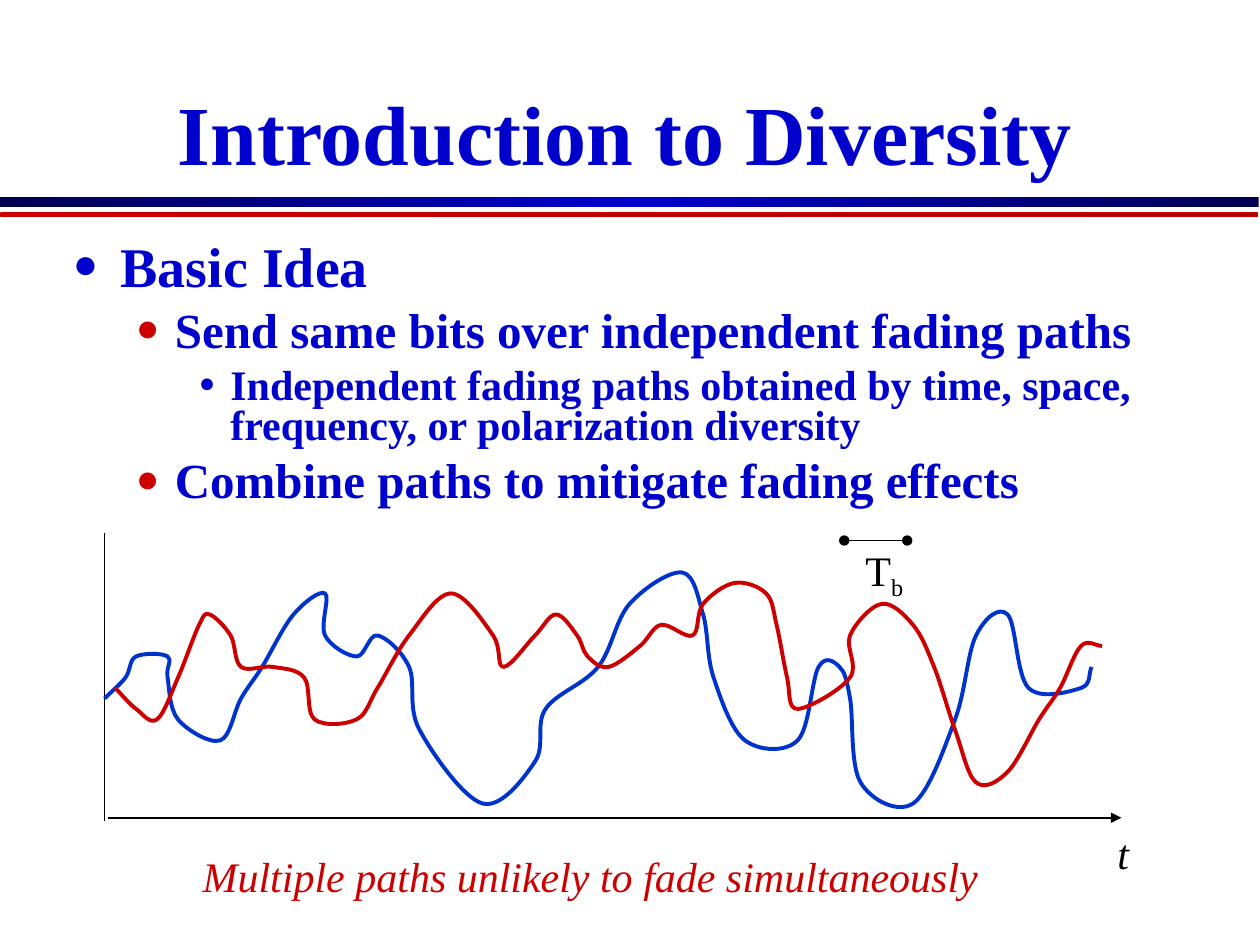
from lxml.etree import SubElement
from pptx import Presentation
from pptx.dml.color import RGBColor
from pptx.enum.shapes import MSO_CONNECTOR, MSO_SHAPE
from pptx.enum.text import MSO_ANCHOR, MSO_AUTO_SIZE, PP_ALIGN
from pptx.oxml.ns import qn
from pptx.util import Inches, Pt

FONT = "Times New Roman"
BLUE, RED, BLACK = "0000CC", "CC0000", "000000"
CELL = 1 / 12
UNITS = 100

BLUE_KNOTS = [
    (0, 16), (2, 14), (3, 12), (6, 12), (6, 14), (7, 18), (11, 20), (13, 16),
    (15, 13), (18, 8), (21, 6), (21, 10), (24, 12), (26, 10), (29, 13), (30, 19),
    (36, 26), (41, 22), (42, 17), (47, 13), (50, 7), (55, 4), (57, 8), (58, 14),
    (61, 20), (66, 20), (68, 13), (70, 13), (71, 16), (72, 24), (77, 26), (81, 18),
    (83, 10), (86, 8), (88, 15), (93, 15), (94, 13),
]
RED_KNOTS = [
    (1, 15), (3, 17), (5, 18), (7, 14), (9, 9), (10, 8), (12, 10), (13, 13),
    (16, 13), (19, 14), (20, 18), (24, 18), (26, 15), (29, 10), (33, 6), (37, 10),
    (38, 13), (41, 10), (43, 8), (45, 10), (46, 12), (48, 13), (51, 11), (53, 9),
    (56, 10), (57, 7), (60, 5), (63, 6), (64, 9), (65, 14), (66, 17), (71, 14),
    (71, 10), (74, 7), (77, 9), (79, 13), (81, 19), (83, 24), (86, 23), (89, 18),
    (91, 15), (93, 11), (95, 11),
]

LEVELS = [
    dict(size=32, margin=0.38, hang=0.38, spacing=1.2, before=8, bullet=BLUE, scale=75),
    dict(size=28, margin=0.81, hang=0.31, spacing=0.8, before=7, bullet=RED, scale=80),
    dict(size=24, margin=1.25, hang=0.25, spacing=0.8, before=6, bullet=BLUE, scale=65),
]
POINTS = [
    (0, "Basic Idea"),
    (1, "Send same bits over independent fading paths"),
    (2, "Independent fading paths obtained by time, space, frequency, or polarization diversity"),
    (1, "Combine paths to mitigate fading effects"),
]


def color(value):
    return RGBColor.from_string(value)


def inches(*values):
    return [Inches(value) for value in values]


def style(font, size, value, bold=False, italic=False):
    font.name, font.size, font.bold, font.italic = FONT, Pt(size), bold, italic
    font.color.rgb = color(value)


def add_bar(page, box, stops, outline=None):
    bar = page.shapes.add_shape(MSO_SHAPE.RECTANGLE, *inches(*box))
    bar.shadow.inherit = False
    bar.fill.gradient()
    bar.fill.gradient_angle = 0
    stop_list = bar._element.spPr.find(qn("a:gradFill")).find(qn("a:gsLst"))
    for stop in list(stop_list):
        stop_list.remove(stop)
    for position, value in stops:
        stop = SubElement(stop_list, qn("a:gs"), pos=str(position * 1000))
        SubElement(stop, qn("a:srgbClr"), val=value)
    if outline:
        bar.line.color.rgb = color(outline)
        bar.line.width = Pt(1)
    else:
        bar.line.fill.background()


def add_header(page, box):
    add_bar(page, (0, 1.56, 9.99, 0.08), [(0, "000052"), (50, BLUE), (100, "000052")])
    add_bar(page, (0.01, 1.69, 9.97, 0.03), [(0, RED), (100, "A30000")], RED)
    title = page.shapes.title
    title.left, title.top, title.width, title.height = inches(*box)
    title.text_frame.text = "Introduction to Diversity"
    title.text_frame.vertical_anchor = MSO_ANCHOR.BOTTOM
    title.text_frame.auto_size = MSO_AUTO_SIZE.NONE
    para = title.text_frame.paragraphs[0]
    para.alignment = PP_ALIGN.CENTER
    style(para.runs[0].font, 48, BLUE, bold=True)


def add_points(page, box):
    frame = page.shapes.add_textbox(*inches(*box)).text_frame
    frame.word_wrap = True
    for index, (depth, text) in enumerate(POINTS):
        level = LEVELS[depth]
        para = frame.add_paragraph() if index else frame.paragraphs[0]
        para.text = text
        para.level = depth
        para.line_spacing = level["spacing"]
        if index:
            para.space_before = Pt(level["before"])
        props = para._p.get_or_add_pPr()
        props.set("marL", str(Inches(level["margin"])))
        props.set("indent", str(-Inches(level["hang"])))
        bullet = SubElement(props, qn("a:buClr"))
        SubElement(bullet, qn("a:srgbClr"), val=level["bullet"])
        SubElement(props, qn("a:buSzPct"), val=str(level["scale"] * 1000))
        SubElement(props, qn("a:buFont"), typeface=FONT)
        SubElement(props, qn("a:buChar"), char="●")
        style(para.runs[0].font, level["size"], BLUE, bold=True)


def add_line(shapes, start, end, head=None, tail=None):
    line = shapes.add_connector(MSO_CONNECTOR.STRAIGHT, *inches(*start, *end))
    line.line.color.rgb = color(BLACK)
    line.line.width = Pt(1)
    SubElement(line._element.spPr, qn("a:effectLst"))
    outline = line.line._get_or_add_ln()
    for tag, kind in (("a:headEnd", head), ("a:tailEnd", tail)):
        if kind:
            SubElement(outline, qn(tag), type=kind)


def add_label(shapes, box, spans, value, italic=False):
    frame = shapes.add_textbox(*inches(*box)).text_frame
    frame.word_wrap = True
    frame.auto_size = MSO_AUTO_SIZE.NONE
    for text, baseline in spans:
        span = frame.paragraphs[0].add_run()
        span.text = text
        style(span.font, 24, value, italic=italic)
        if baseline:
            span.font._element.set("baseline", str(baseline * 1000))


def add_curve(shapes, left, top, knots, value):
    points = [(x * UNITS, y * UNITS) for x, y in knots]
    builder = shapes.build_freeform(*points[0], scale=Inches(CELL) / UNITS)
    builder.add_line_segments(points[1:], close=False)
    curve = builder.convert_to_shape(*inches(left, top))
    curve.shadow.inherit = False
    curve.fill.background()
    curve.line.color.rgb = color(value)
    curve.line.width = Pt(2.25)

    origin = [min(axis) for axis in zip(*points)]
    local = [(x - origin[0], y - origin[1]) for x, y in points]
    before = tuple(2 * a - b for a, b in zip(local[0], local[1]))
    after = tuple(2 * a - b for a, b in zip(local[-1], local[-2]))
    padded = [before, *local, after]
    segments = list(curve._element.iter(qn("a:lnTo")))
    for segment, p0, p1, p2, p3 in zip(segments, padded, padded[1:], padded[2:], padded[3:]):
        leave = [b + (c - a) / 6 for a, b, c in zip(p0, p1, p2)]
        arrive = [b - (c - a) / 6 for a, b, c in zip(p1, p2, p3)]
        segment.tag = qn("a:cubicBezTo")
        for child in list(segment):
            segment.remove(child)
        for x, y in (leave, arrive, p2):
            SubElement(segment, qn("a:pt"), x=str(round(x)), y=str(round(y)))


def add_fading_plot(page, left, top):
    group = page.shapes.add_group_shape().shapes
    add_line(group, (left, top + 0.02), (left, top + 2.31))
    for knots, value in ((BLUE_KNOTS, "0033CC"), (RED_KNOTS, RED)):
        add_curve(group, left, top, knots, value)
    add_line(group, (left + 5.87, top + 0.08), (left + 6.37, top + 0.08), "oval", "oval")
    add_label(group, (left + 5.94, top + 0.06, 0.55, 0.56), [("T", 0), ("b", -25)], BLACK)
    add_line(page.shapes, (left + 0.03, top + 2.28), (left + 8.07, top + 2.28), tail="triangle")
    add_label(page.shapes, (left + 7.94, top + 2.31, 0.32, 0.5), [("t", 0)], BLACK, italic=True)


def main():
    deck = Presentation()
    deck.slide_width, deck.slide_height = inches(10, 7.5)
    page = deck.slides.add_slide(deck.slide_layouts[5])
    add_header(page, (0.67, 0.25, 8.58, 1.25))
    add_points(page, (0.48, 1.68, 8.83, 4.5))
    add_fading_plot(page, 0.83, 4.21)
    caption = [("Multiple paths unlikely to fade simultaneously", 0)]
    add_label(page.shapes, (1.51, 6.7, 6.5, 0.5), caption, RED, italic=True)
    deck.save("out.pptx")


if __name__ == "__main__":
    main()
